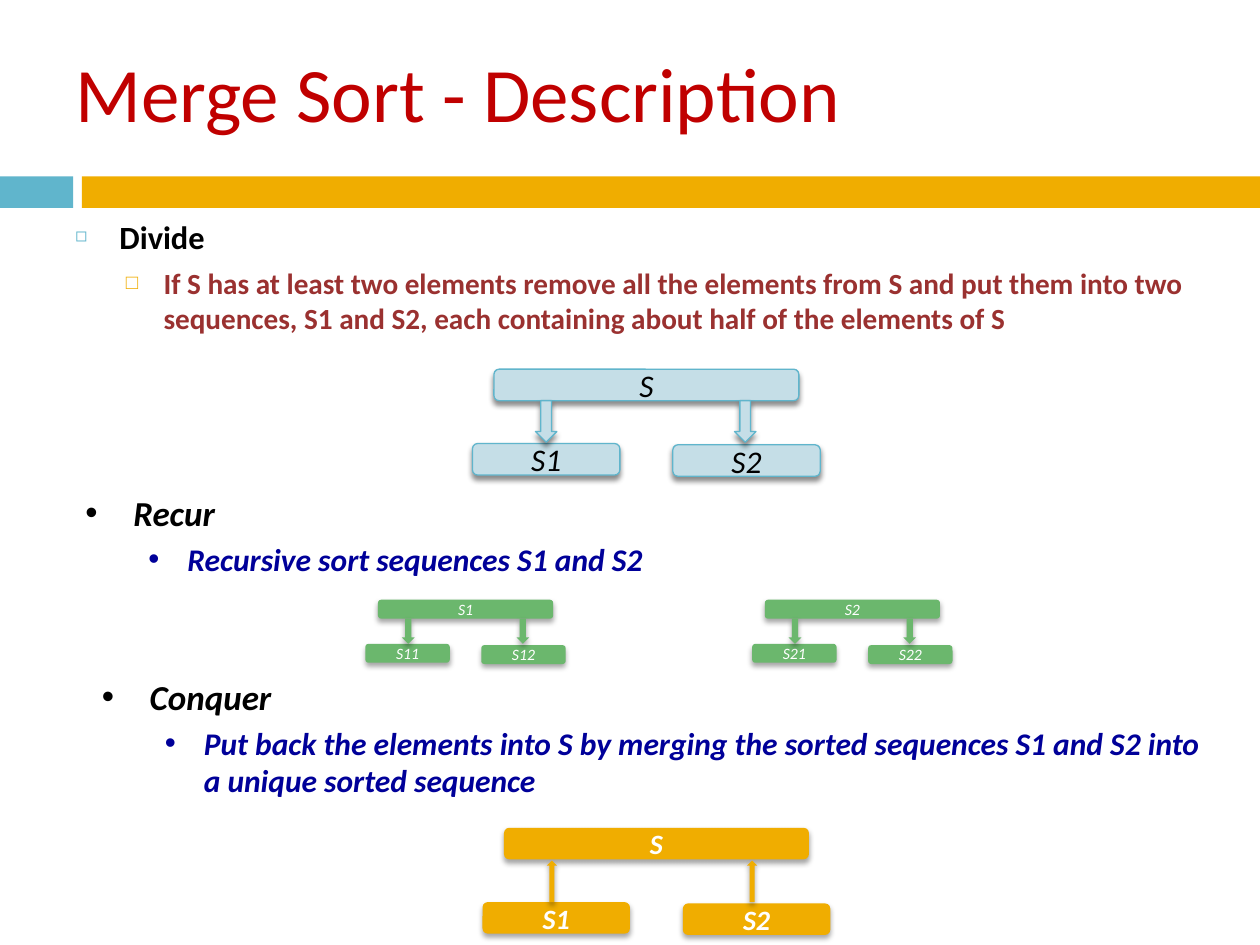
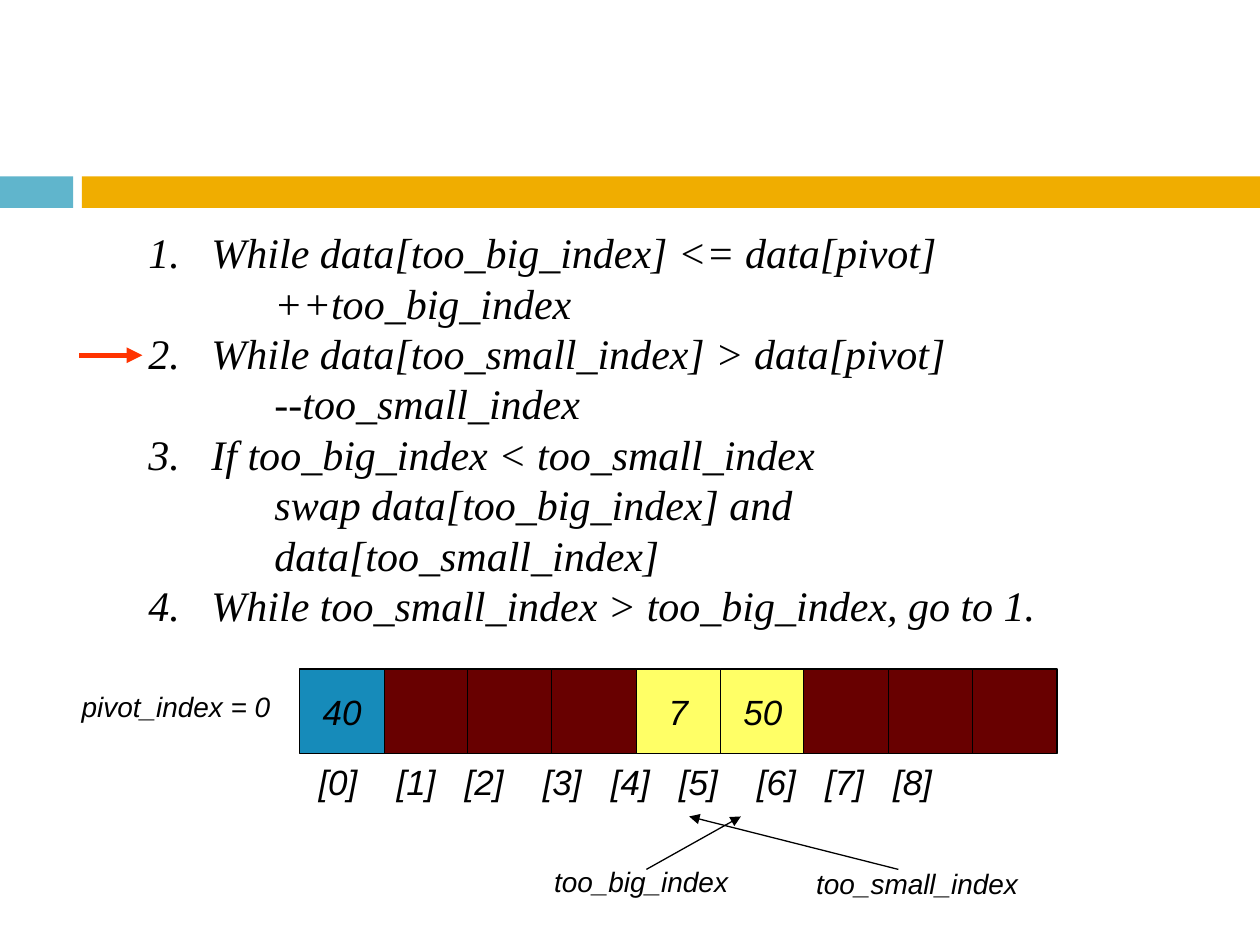
from dataclasses import dataclass
from itertools import accumulate

from lxml import etree
from pptx import Presentation
from pptx.dml.color import RGBColor
from pptx.enum.shapes import MSO_CONNECTOR, MSO_SHAPE
from pptx.enum.text import MSO_ANCHOR, PP_ALIGN
from pptx.oxml.ns import qn
from pptx.util import Emu, Pt

# Lengths: 100 px to the inch
PX = 9144

# Colours
RED = RGBColor(0xC0, 0x00, 0x00)
BRICK = RGBColor(0x9A, 0x31, 0x30)
NAVY = RGBColor(0x00, 0x00, 0x99)
SKY = RGBColor(0x60, 0xB5, 0xCC)
PALE_SKY = RGBColor(0xC5, 0xDE, 0xE7)
AMBER = RGBColor(0xF0, 0xAD, 0x00)
GREEN = RGBColor(0x6B, 0xB7, 0x6D)
BLUE = RGBColor(0x16, 0x8B, 0xBA)
MAROON = RGBColor(0x68, 0x00, 0x00)
YELLOW = RGBColor(0xFF, 0xFF, 0x66)
ORANGE = RGBColor(0xFF, 0x33, 0x00)
BLACK = RGBColor(0x00, 0x00, 0x00)
WHITE = RGBColor(0xFF, 0xFF, 0xFF)

RECTANGLE = MSO_SHAPE.RECTANGLE
ROUNDED = MSO_SHAPE.FLOWCHART_ALTERNATE_PROCESS
DOWN = MSO_SHAPE.DOWN_ARROW
UP = MSO_SHAPE.UP_ARROW
STRAIGHT = MSO_CONNECTOR.STRAIGHT
MIDDLE = MSO_ANCHOR.MIDDLE
TOP = MSO_ANCHOR.TOP
CENTER = PP_ALIGN.CENTER


@dataclass
class Font:
    size: float
    color: RGBColor = BLACK
    name: str = "Calibri"
    bold: bool = False
    italic: bool = False


@dataclass
class Bullet:
    char: str
    left: int
    hanging: int
    before: float
    color: RGBColor
    percent: int = 100


@dataclass
class TreeStyle:
    """Look of a sequence with two halves; places are relative to the left half."""
    fill: RGBColor
    font: Font
    shadow: tuple  # opacity in percent, distance in points
    nodes: list
    arrows: list
    arrow_shape: MSO_SHAPE = DOWN
    line: RGBColor = None


TITLE = Font(44, RED)
CODE = Font(24, name="Times New Roman", italic=True)
LABEL = Font(16, name="Arial", italic=True)
ARRAY = Font(20, name="Arial", italic=True)
HEADING = Font(20, bold=True, italic=True)
DETAIL = Font(18, NAVY, bold=True, italic=True)
HEADING_DOT = Bullet("•", 38, 38, 4, BLACK)
DETAIL_DOT = Bullet("•", 81, 31, 3.6, NAVY)

LARGE_NODES = [(17, 0, 242, 25), (0, 59, 117, 25), (159, 60, 117, 25)]
SMALL_NODES = [(10, 0, 139, 15), (0, 35, 67, 15), (92, 36, 67, 15)]
DIVIDE = TreeStyle(PALE_SKY, Font(18, italic=True), (45, 2.4), LARGE_NODES,
                   [(50, 25, 17, 33), (208, 25, 17, 33)], line=SKY)
RECUR = TreeStyle(GREEN, Font(9, WHITE, italic=True), (35, 2), SMALL_NODES,
                  [(29, 15, 10, 20), (120, 15, 10, 20)])
CONQUER = TreeStyle(AMBER, Font(16, WHITE, bold=True, italic=True), (35, 2),
                    LARGE_NODES, [(51, 26, 8, 33), (210, 26, 8, 33)], UP)


def px(*lengths):
    return [Emu(length * PX) for length in lengths]


def add_xml(parent, tag, **attributes):
    values = {key: str(value) for key, value in attributes.items()}
    return etree.SubElement(parent, qn(tag), values)


# Text
def format_runs(paragraph, font):
    for span in paragraph.runs:
        span.font.name = font.name
        span.font.size = Pt(font.size)
        span.font.bold = font.bold
        span.font.italic = font.italic
        span.font.color.rgb = font.color


def add_text_box(page, place, anchor=TOP):
    frame = page.shapes.add_textbox(*px(*place)).text_frame
    frame.word_wrap = True
    frame.vertical_anchor = anchor
    return frame


def add_label(page, place, text, font, anchor=TOP):
    frame = add_text_box(page, place, anchor)
    frame.text = text
    format_runs(frame.paragraphs[0], font)
    return frame.paragraphs[0]


def fill_paragraphs(frame, texts):
    frame.text = "\n".join(texts)
    return frame.paragraphs


def set_indent(paragraph, left, hanging):
    properties = paragraph._p.get_or_add_pPr()
    properties.set("marL", str(left * PX))
    properties.set("indent", str(-hanging * PX))
    return properties


def add_bullets(page, place, items):
    frame = add_text_box(page, place)
    paragraphs = fill_paragraphs(frame, [text for text, _, _ in items])
    for level, (para, (_, font, bullet)) in enumerate(zip(paragraphs, items)):
        format_runs(para, font)
        para.level = level
        para.space_before = Pt(bullet.before)
        properties = set_indent(para, bullet.left, bullet.hanging)
        color = add_xml(properties, "a:buClr")
        add_xml(color, "a:srgbClr", val=bullet.color)
        add_xml(properties, "a:buSzPct", val=bullet.percent * 1000)
        add_xml(properties, "a:buFont", typeface="Arial")
        add_xml(properties, "a:buChar", char=bullet.char)


def add_steps(page, place, steps):
    """Numbered steps, each with an optional indented action below it."""
    lines = [(text, level) for step in steps for level, text in enumerate(step)]
    frame = add_text_box(page, place)
    paragraphs = fill_paragraphs(frame, [text for text, _ in lines])
    for para, (_, level) in zip(paragraphs, lines):
        format_runs(para, CODE)
        para.level = level
        para.line_spacing = Pt(28.8)
        if level:
            add_xml(set_indent(para, 100, 0), "a:buNone")
        else:
            add_xml(set_indent(para, 50, 50), "a:buAutoNum", type="arabicPeriod")


# Shapes
def add_box(page, kind, place, fill, line=None, text="", font=None):
    box = page.shapes.add_shape(kind, *px(*place))
    box.shadow.inherit = False
    box.fill.solid()
    box.fill.fore_color.rgb = fill
    if line is None:
        box.line.fill.background()
    else:
        box.line.color.rgb = line
        box.line.width = Pt(0.75)
    if text:
        frame = box.text_frame
        frame.margin_left = frame.margin_right = 0
        frame.margin_top = frame.margin_bottom = 0
        frame.vertical_anchor = MIDDLE
        frame.text = text
        frame.paragraphs[0].alignment = CENTER
        format_runs(frame.paragraphs[0], font)
    return box


def add_shadow(box, opacity, distance):
    effects = box._element.spPr.find(qn("a:effectLst"))
    shadow = add_xml(effects, "a:outerShdw", blurRad=Pt(3), dist=Pt(distance),
                     dir=5400000, rotWithShape=0)
    color = add_xml(shadow, "a:srgbClr", val=BLACK)
    add_xml(color, "a:alpha", val=opacity * 1000)


def add_arrow(page, start, end, color=BLACK, width=0.75):
    arrow = page.shapes.add_connector(STRAIGHT, *px(*start, *end))
    arrow.line.color.rgb = color
    arrow.line.width = Pt(width)
    add_xml(arrow.line._get_or_add_ln(), "a:tailEnd", type="triangle")
    add_xml(arrow._element.spPr, "a:effectLst")


def add_tree(page, left, top, names, style):
    parts = [(ROUNDED, place, name) for place, name in zip(style.nodes, names)]
    parts += [(style.arrow_shape, place, "") for place in style.arrows]
    for kind, (x, y, width, height), name in parts:
        box = add_box(page, kind, (left + x, top + y, width, height),
                      style.fill, style.line, name, style.font)
        add_shadow(box, *style.shadow)


def add_array(page, left, top, side, cells):
    for index, (text, fill) in enumerate(cells):
        place = (round(left + index * side), top, round(side), round(side))
        add_box(page, RECTANGLE, place, fill, BLACK, text, ARRAY)


def add_index_row(page, place, steps):
    """Array indices set at tab stops that lie the given steps apart."""
    text = "\t".join(f"[{index}]" for index in range(len(steps) + 1))
    para = add_label(page, place, text, ARRAY)
    stops = add_xml(para._p.get_or_add_pPr(), "a:tabLst")
    for position in accumulate(steps):
        add_xml(stops, "a:tab", pos=position * PX, algn="l")


# Slides
def add_page(deck):
    page = deck.slides.add_slide(deck.slide_layouts[6])
    add_box(page, RECTANGLE, (0, 140, 58, 25), SKY)
    add_box(page, RECTANGLE, (65, 140, 935, 25), AMBER)
    return page


def add_merge_sort_page(deck):
    page = add_page(deck)
    add_label(page, (50, 29, 900, 87), "Merge Sort - Description", TITLE, MIDDLE)
    add_bullets(page, (50, 167, 900, 108), [
        ("Divide", Font(18.5, bold=True), Bullet("◻", 35, 35, 7, SKY, 60)),
        ("If S has at least two elements remove all the elements from S and put "
         "them into two sequences, S1 and S2, each containing about half of the "
         "elements of S",
         Font(16.7, BRICK, bold=True), Bullet("□", 70, 30, 5.5, AMBER, 70)),
    ])
    add_tree(page, 375, 293, ["S", "S1", "S2"], DIVIDE)
    add_tree(page, 290, 476, ["S1", "S11", "S12"], RECUR)
    add_tree(page, 597, 476, ["S2", "S21", "S22"], RECUR)
    add_tree(page, 383, 657, ["S", "S1", "S2"], CONQUER)
    add_bullets(page, (58, 385, 900, 75), [
        ("Recur", HEADING, HEADING_DOT),
        ("Recursive sort sequences S1 and S2", DETAIL, DETAIL_DOT),
    ])
    add_bullets(page, (71, 531, 900, 108), [
        ("Conquer", HEADING, HEADING_DOT),
        ("Put back the elements into S by merging the sorted sequences S1 and S2 "
         "into a unique sorted sequence", DETAIL, DETAIL_DOT),
    ])


def add_partition_page(deck):
    page = add_page(deck)
    add_steps(page, (108, 175, 831, 409), [
        ["While data[too_big_index] <= data[pivot]", "++too_big_index"],
        ["While data[too_small_index] > data[pivot]", "--too_small_index"],
        ["If too_big_index < too_small_index",
         "swap data[too_big_index] and data[too_small_index]"],
        ["While too_small_index > too_big_index, go to 1."],
    ])
    dark = [("", MAROON)] * 3
    swapped = [("7", YELLOW), ("50", YELLOW)]
    add_array(page, 238, 531, 66.7, [("40", BLUE)] + dark + swapped + dark)
    add_index_row(page, (243, 599, 587, 44), [62, 54, 62, 54, 54, 62, 54, 54])
    add_label(page, (55, 542, 176, 37), "pivot_index = 0", LABEL)
    add_label(page, (430, 681, 317, 37), "too_big_index", LABEL)
    add_label(page, (638, 683, 233, 37), "too_small_index", LABEL)
    add_arrow(page, (713, 690), (547, 648))
    add_arrow(page, (513, 690), (588, 648))
    add_arrow(page, (63, 282), (113, 282), ORANGE, 3)


def main():
    deck = Presentation()
    deck.slide_width, deck.slide_height = px(1000, 750)
    add_merge_sort_page(deck)
    add_partition_page(deck)
    deck.save("out.pptx")


if __name__ == "__main__":
    main()
